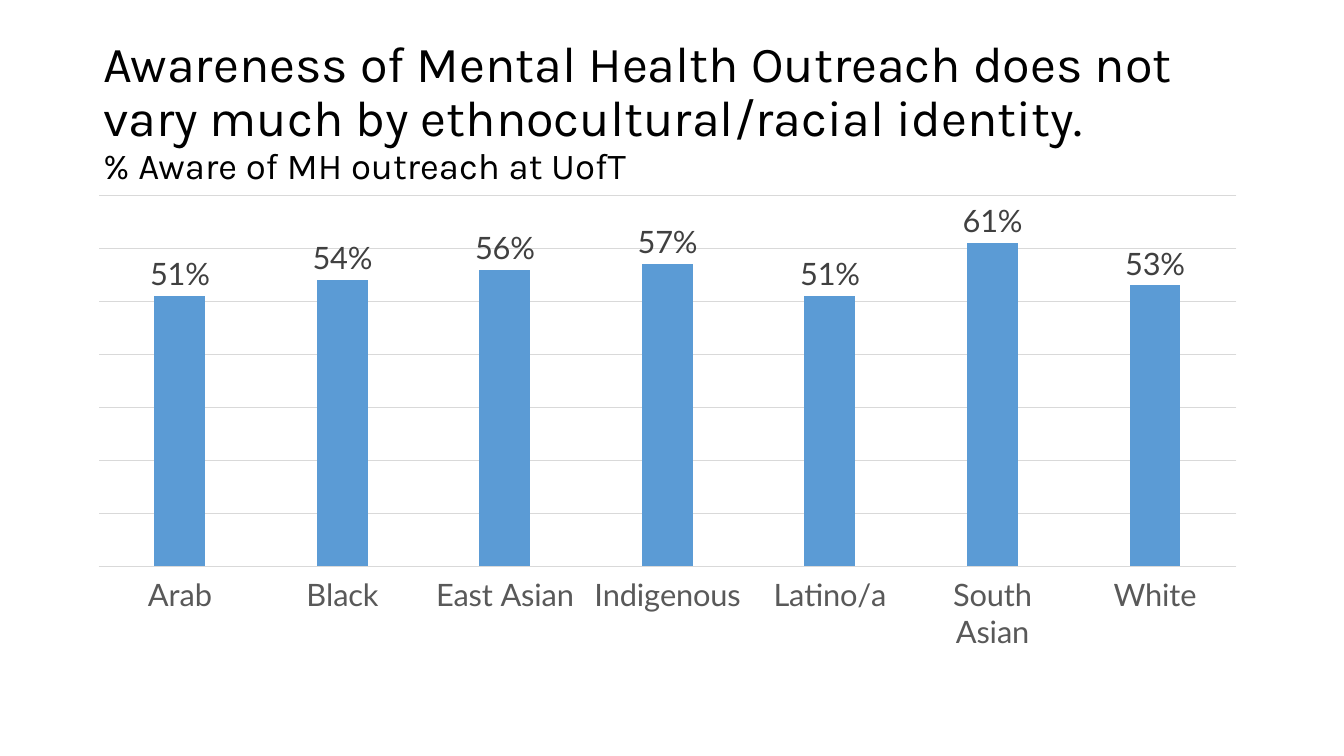
from pptx import Presentation
from pptx.chart.data import CategoryChartData
from pptx.dml.color import RGBColor
from pptx.enum.chart import XL_CHART_TYPE, XL_LABEL_POSITION, XL_TICK_LABEL_POSITION, XL_TICK_MARK
from pptx.enum.text import MSO_ANCHOR, MSO_AUTO_SIZE, PP_ALIGN
from pptx.util import Emu, Pt

COLUMNS = XL_CHART_TYPE.COLUMN_CLUSTERED
OUTSIDE_END = XL_LABEL_POSITION.OUTSIDE_END
LABELS_LOW = XL_TICK_LABEL_POSITION.LOW
NO_TICKS = XL_TICK_MARK.NONE
MIDDLE = MSO_ANCHOR.MIDDLE
NO_AUTOFIT = MSO_AUTO_SIZE.NONE
LEFT = PP_ALIGN.LEFT

# Content
HEADLINE = "Awareness of Mental Health Outreach does not vary much by ethnocultural/racial identity."
SUBTITLE = "% Aware of MH outreach at UofT"
AWARENESS = {
    "Arab": 0.51,
    "Black": 0.54,
    "East Asian": 0.56,
    "Indigenous": 0.57,
    "Latino/a": 0.51,
    "South Asian": 0.61,
    "White": 0.53,
}

# Layout in px: left, top, width, height
SLIDE_SIZE = (1344, 756)
TITLE_BOX = (93, 40, 1159, 186 - 40)
CHART_BOX = (75, 186, 1185, 473)
EMU_PER_PX = 914400 / 100.8


def px(*lengths):
    return [Emu(round(length * EMU_PER_PX)) for length in lengths]


def color(hex_string):
    return RGBColor.from_string(hex_string)


def style_font(font, name, size, hex_string):
    font.name = name
    font.size = Pt(size)
    font.bold = False
    font.color.rgb = color(hex_string)


def style_line(line, hex_string):
    line.color.rgb = color(hex_string)
    line.width = Pt(0.75)


def add_title(slide):
    title = slide.shapes.title
    title.left, title.top, title.width, title.height = px(*TITLE_BOX)
    frame = title.text_frame
    frame.word_wrap = True
    frame.auto_size = NO_AUTOFIT
    frame.vertical_anchor = MIDDLE
    paragraph = frame.paragraphs[0]
    paragraph.alignment = LEFT
    paragraph.line_spacing = 0.9
    for index, (text, size) in enumerate([(HEADLINE, 36), (SUBTITLE, 26.1)]):
        if index:
            paragraph.add_line_break()
        run = paragraph.add_run()
        run.text = text
        style_font(run.font, "Karla", size, "000000")


def add_awareness_chart(slide):
    data = CategoryChartData(number_format="0%")
    data.categories = list(AWARENESS)
    data.add_series("Series 1", list(AWARENESS.values()))
    chart = slide.shapes.add_chart(COLUMNS, *px(*CHART_BOX), data).chart
    chart.has_legend = False
    chart.has_title = False
    style_font(chart.font, "Lato", 22, "000000")

    # Axes
    category_axis = chart.category_axis
    category_axis.major_tick_mark = NO_TICKS
    category_axis.minor_tick_mark = NO_TICKS
    category_axis.tick_label_position = LABELS_LOW
    style_font(category_axis.tick_labels.font, "Lato", 22, "595959")
    style_line(category_axis.format.line, "D9D9D9")
    value_axis = chart.value_axis
    value_axis.minimum_scale = 0
    value_axis.maximum_scale = 0.7
    value_axis.major_unit = 0.1
    value_axis.has_major_gridlines = True
    style_line(value_axis.major_gridlines.format.line, "D9D9D9")
    value_axis.visible = False

    # Columns and their labels
    plot = chart.plots[0]
    plot.gap_width = 219
    plot.overlap = -27
    plot.vary_by_categories = False
    series = plot.series[0]
    series.format.fill.solid()
    series.format.fill.fore_color.rgb = color("5B9BD5")
    labels = series.data_labels
    labels.show_value = True
    labels.number_format = "0%"
    labels.number_format_is_linked = False
    labels.position = OUTSIDE_END
    style_font(labels.font, "Lato", 22, "404040")


def main():
    presentation = Presentation()
    presentation.slide_width, presentation.slide_height = px(*SLIDE_SIZE)
    slide = presentation.slides.add_slide(presentation.slide_layouts[5])
    add_title(slide)
    add_awareness_chart(slide)
    presentation.save("out.pptx")


if __name__ == "__main__":
    main()
